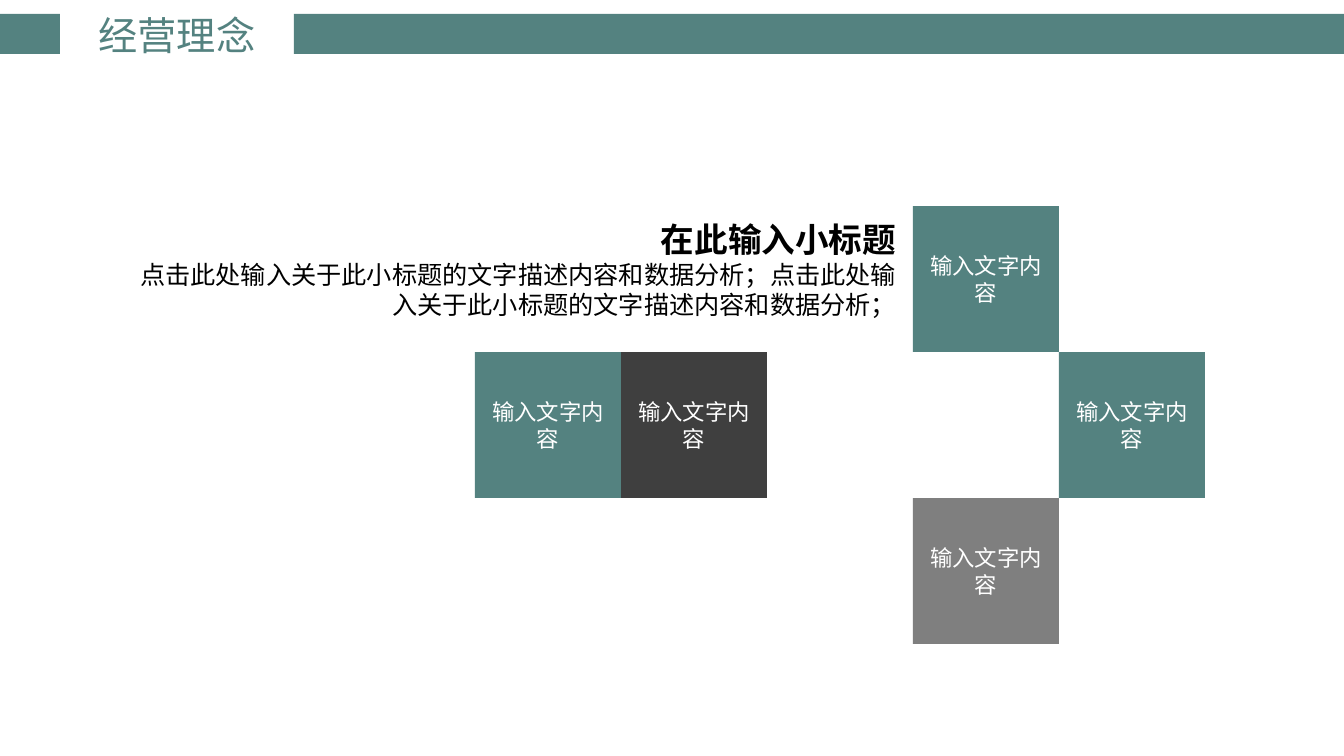
from typing import NamedTuple

from pptx import Presentation
from pptx.dml.color import RGBColor
from pptx.enum.shapes import MSO_SHAPE
from pptx.enum.text import MSO_ANCHOR, PP_ALIGN
from pptx.oxml.ns import qn
from pptx.util import Emu, Pt

RECT = MSO_SHAPE.RECTANGLE
TOP, MIDDLE = MSO_ANCHOR.TOP, MSO_ANCHOR.MIDDLE
CENTER, RIGHT = PP_ALIGN.CENTER, PP_ALIGN.RIGHT

EMU_PER_PX = 914400 / 100.8
FONT = "Noto Sans CJK SC"
COLORS = {
    "teal": "548280",
    "dark": "3F3F3F",
    "gray": "7F7F7F",
    "white": "FFFFFF",
    "black": "000000",
}

# Tile grid
TILE = 146
GRID_LEFT, GRID_TOP = 475, 206
TILE_TEXT = "输入文字内容"


class Box(NamedTuple):
    x: int
    y: int
    w: int
    h: int


class Tile(NamedTuple):
    col: int
    row: int
    color: str


BARS = [Box(0, 14, 60, 40), Box(294, 14, 1050, 40)]
TILES = [
    Tile(3, 2, "gray"),
    Tile(4, 1, "teal"),
    Tile(1, 1, "dark"),
    Tile(0, 1, "teal"),
    Tile(3, 0, "teal"),
]


def px(n: int) -> Emu:
    return Emu(round(n * EMU_PER_PX))


def add_rect(s, box: Box, color: str):
    sp = s.shapes.add_shape(RECT, *map(px, box))
    sp.shadow.inherit = False
    sp.fill.solid()
    sp.fill.fore_color.rgb = RGBColor.from_string(COLORS[color])
    sp.line.fill.background()
    return sp


def add_textbox(s, box: Box, wrap: bool = True, anchor=TOP):
    tf = s.shapes.add_textbox(*map(px, box)).text_frame
    tf.word_wrap = wrap
    tf.vertical_anchor = anchor
    return tf


def write(p, text: str, *, size: int, color: str, align=CENTER,
          bold: bool = False, spacing: float | None = None) -> None:
    p.alignment = align
    if spacing:
        p.line_spacing = spacing
    r = p.add_run()
    r.text = text
    r.font.size = Pt(size)
    r.font.bold = bold
    r.font.name = FONT
    r.font.color.rgb = RGBColor.from_string(COLORS[color])
    # East Asian typeface follows the Latin one
    ea = r.font._element.makeelement(qn("a:ea"), {"typeface": FONT})
    r.font._element.find(qn("a:latin")).addnext(ea)


def main() -> None:
    prs = Presentation()
    prs.slide_width, prs.slide_height = px(1344), px(756)
    s = prs.slides.add_slide(prs.slide_layouts[6])

    # Header bars and title
    for bar in BARS:
        add_rect(s, bar, "teal")
    tf = add_textbox(s, Box(88, 6, 178, 57), wrap=False, anchor=MIDDLE)
    write(tf.paragraphs[0], "经营理念", size=28, color="teal")

    # Tiles
    for tile in TILES:
        box = Box(GRID_LEFT + tile.col * TILE, GRID_TOP + tile.row * TILE, TILE, TILE)
        tf = add_rect(s, box, tile.color).text_frame
        tf.word_wrap = True
        tf.vertical_anchor = MIDDLE
        write(tf.paragraphs[0], TILE_TEXT, size=16, color="white")

    # Subtitle and description
    tf = add_textbox(s, Box(106, 194, 800, 132))
    write(tf.paragraphs[0], "在此输入小标题", size=24, color="black",
          align=RIGHT, bold=True, spacing=1.5)
    write(tf.add_paragraph(),
          "点击此处输入关于此小标题的文字描述内容和数据分析；"
          "点击此处输入关于此小标题的文字描述内容和数据分析；",
          size=18, color="black", align=RIGHT)

    prs.save("out.pptx")


if __name__ == "__main__":
    main()
